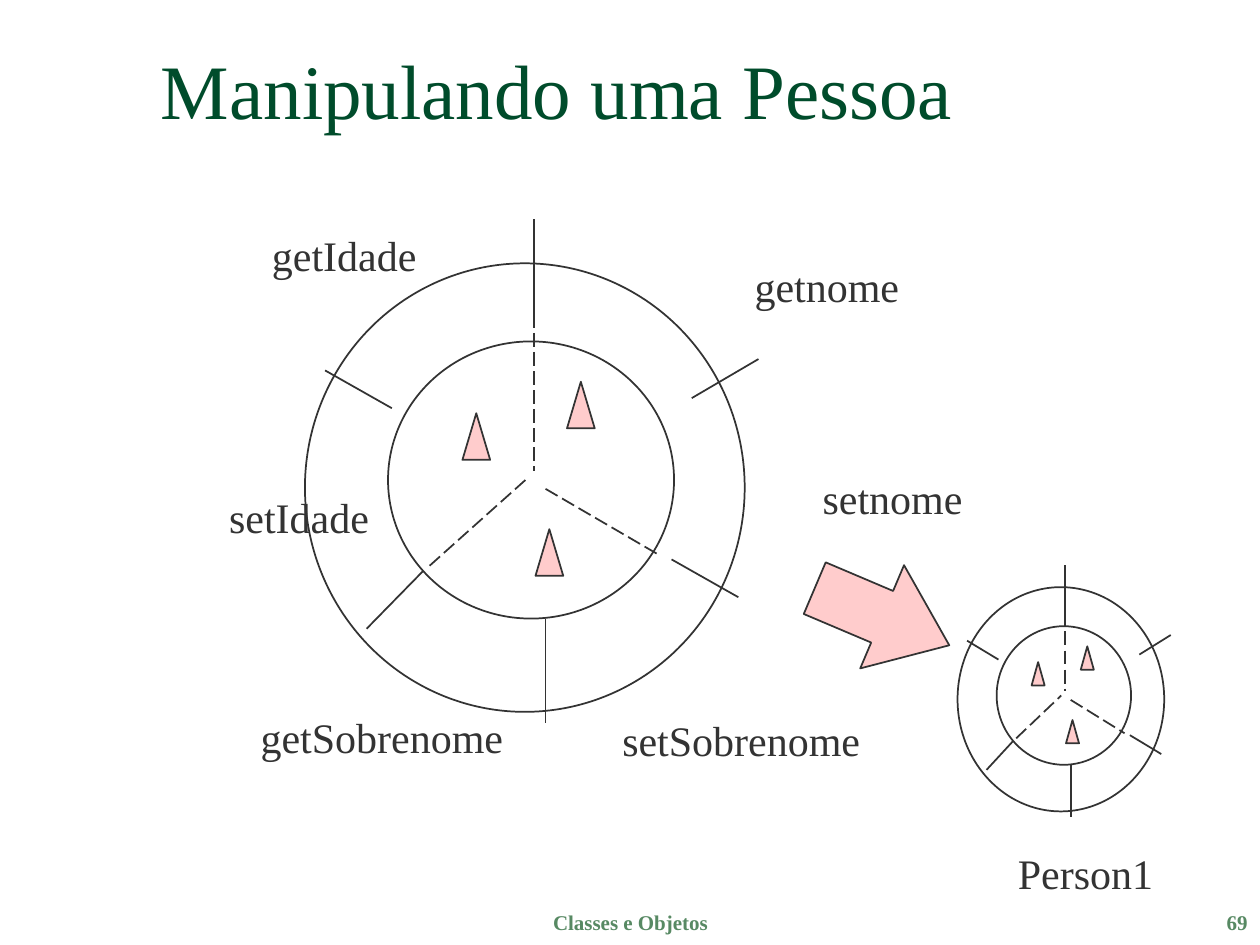
import pptx
import pptx.util
import pptx.dml.color
import pptx.enum.dml
import pptx.enum.shapes
import pptx.enum.text
import pptx.oxml.ns
import lxml.etree

Inches = pptx.util.Inches
Pt = pptx.util.Pt
RGBColor = pptx.dml.color.RGBColor
Shape = pptx.enum.shapes.MSO_SHAPE
Align = pptx.enum.text.PP_ALIGN
Anchor = pptx.enum.text.MSO_ANCHOR
Fit = pptx.enum.text.MSO_AUTO_SIZE
Dash = pptx.enum.dml.MSO_LINE

GREEN = RGBColor(0x00, 0x4C, 0x2B)
SAGE = RGBColor(0x57, 0x89, 0x63)
DARK = RGBColor(0x33, 0x33, 0x33)
PINK = RGBColor(0xFF, 0xCC, 0xCC)
FONT = "Times New Roman"

deck = pptx.Presentation()
deck.slide_width, deck.slide_height = Inches(10), Inches(7.5)
slide = deck.slides.add_slide(deck.slide_layouts[5])


def write(box, text, size, color, align=Align.LEFT, bold=False):
    para = box.text_frame.paragraphs[0]
    para.alignment = align
    run = para.add_run()
    run.text = text
    run.font.name = FONT
    run.font.size = Pt(size)
    run.font.bold = bold
    run.font.color.rgb = color


def draw(kind, left, top, width, height, fill=None):
    shape = slide.shapes.add_shape(
        kind, Inches(left), Inches(top), Inches(width), Inches(height))
    shape.shadow.inherit = False
    if fill is None:
        shape.fill.background()
    else:
        shape.fill.solid()
        shape.fill.fore_color.rgb = fill
    shape.line.color.rgb = DARK
    shape.line.width = Pt(1)
    return shape


# Title
title = slide.shapes.title
title.left, title.top = Inches(0.17), Inches(0.08)
title.width, title.height = Inches(8.5), Inches(1.25)
title.text_frame.auto_size = Fit.NONE
title.text_frame.vertical_anchor = Anchor.MIDDLE
write(title, "Manipulando uma Pessoa", 44, GREEN, Align.CENTER)

# Wheel parts, measured from the corner of the outer ring
rings = [(0.66, 0.62, 2.27, 2.2), (0, 0, 3.49, 3.56)]
cones = [(1.25, 1.19), (2.08, 0.94), (1.83, 2.11)]
spokes = [
    (3.07, 1.07, 3.6, 0.76),
    (0.16, 0.85, 0.69, 1.15),
    (1.91, 2.82, 1.91, 3.65),
    (1.82, -0.35, 1.82, 0.4),
    (0.49, 2.9, 0.94, 2.44),
    (2.91, 2.35, 3.44, 2.65),
]
dashes = [
    (1.82, 0.4, 1.82, 1.65),
    (0.99, 2.4, 1.75, 1.72),
    (1.91, 1.79, 2.82, 2.32),
]

# The class wheel, then the smaller object wheel: corner and scale
for left, top, wide, high in [(2.42, 2.09, 1, 1), (7.6, 4.66, 0.47, 0.5)]:
    for x, y, w, h in rings:
        draw(Shape.OVAL, left + x * wide, top + y * high, w * wide, h * high)
    for x, y in cones:
        draw(Shape.ISOSCELES_TRIANGLE, left + x * wide, top + y * high,
             0.22 * wide, 0.37 * high, PINK)
    for style, group in [(Dash.SOLID, spokes), (Dash.LONG_DASH, dashes)]:
        for x1, y1, x2, y2 in group:
            line = slide.shapes.add_connector(
                pptx.enum.shapes.MSO_CONNECTOR.STRAIGHT,
                Inches(left + x1 * wide), Inches(top + y1 * high),
                Inches(left + x2 * wide), Inches(top + y2 * high))
            line.line.color.rgb = DARK
            line.line.width = Pt(1)
            line.line.dash_style = style
            lxml.etree.SubElement(
                line._element.spPr, pptx.oxml.ns.qn("a:effectLst"))

# Arrow from class to object
arrow = draw(Shape.RIGHT_ARROW, 6.42, 4.45, 1.16, 0.89, PINK)
arrow.adjustments[1] = 0.65
arrow.rotation = 23

# Method and object labels
labels = [
    ("getnome", 5.89, 2.02, 1.35),
    ("getSobrenome", 1.97, 5.6, 2.13),
    ("setSobrenome", 4.84, 5.62, 2.09),
    ("setnome", 6.43, 3.7, 1.31),
    ("getIdade", 2.06, 1.77, 1.35),
    ("setIdade", 1.72, 3.85, 1.31),
    ("Person1", 7.98, 6.68, 1.28),
]
for text, left, top, width in labels:
    box = slide.shapes.add_textbox(
        Inches(left), Inches(top), Inches(width), Inches(0.5))
    box.text_frame.word_wrap = False
    box.text_frame.auto_size = Fit.SHAPE_TO_FIT_TEXT
    write(box, text, 24, DARK)

# Footer and page number
for text, left, width, align in [
        ("Classes e Objetos", 3.42, 3.17, Align.CENTER),
        ("69", 7.92, 2.08, Align.RIGHT)]:
    box = slide.shapes.add_textbox(
        Inches(left), Inches(7.17), Inches(width), Inches(0.5))
    box.text_frame.word_wrap = True
    write(box, text, 12, SAGE, align, True)

deck.save("out.pptx")
